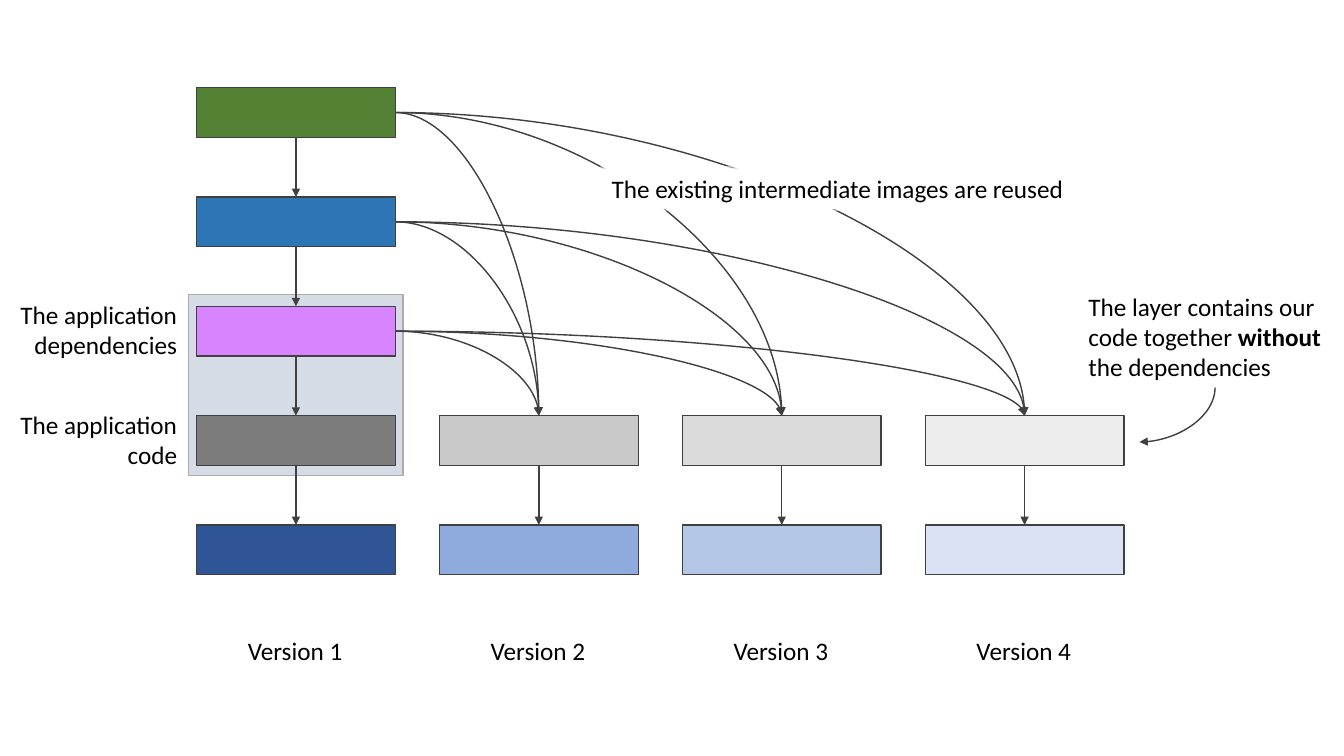
from pptx import Presentation
from pptx.dml.color import RGBColor
from pptx.enum.shapes import MSO_CONNECTOR, MSO_SHAPE
from pptx.enum.text import MSO_AUTO_SIZE, PP_ALIGN
from pptx.oxml.ns import qn
from pptx.util import Pt
from lxml.etree import SubElement

BOX_WIDTH, BOX_HEIGHT = 142, 35.5
LEFT, COLUMN_STEP = 140.4, 173.5
TOP, ROW_STEP = 62.6, 78.1
OUTLINE = "404040"
TOP_SIDE, BOTTOM_SIDE, RIGHT_SIDE = 0, 2, 3

presentation = Presentation()
presentation.slide_width, presentation.slide_height = Pt(960), Pt(540)
slide = presentation.slides.add_slide(presentation.slide_layouts[6])
shapes = slide.shapes


def color(value):
    return RGBColor.from_string(value)


def finish_arrow(connector, curved=False):
    """Outline a connector, add its arrowhead and drop its shadow."""
    connector.line.color.rgb = color(OUTLINE)
    connector.line.width = Pt(1)
    properties = connector.element.spPr
    SubElement(properties.find(qn("a:ln")), qn("a:tailEnd"), type="triangle")
    SubElement(properties, qn("a:effectLst"))
    if curved:
        properties.find(qn("a:prstGeom")).set("prst", "curvedConnector2")


# Panel around the application's two layers, then the boxes (column, row)
rectangles = [("panel", 134.6, 210.2, 153.4, 129.6, "D6DCE5", "AFABAB")]
columns = [
    ["548235", "2E75B6", "D883FF", "7C7C7C", "2F5597"],
    ["C9C9C9", "8FAADC"],
    ["DBDBDB", "B4C7E7"],
    ["EDEDED", "DAE3F3"],
]
for column, fills in enumerate(columns):
    for row, fill in enumerate(fills, start=5 - len(fills)):
        rectangles.append(((column, row), LEFT + column * COLUMN_STEP, TOP + row * ROW_STEP,
                           BOX_WIDTH, BOX_HEIGHT, fill, OUTLINE))

boxes = {}
for key, left, top, width, height, fill, outline in rectangles:
    shape = shapes.add_shape(MSO_SHAPE.RECTANGLE, Pt(left), Pt(top), Pt(width), Pt(height))
    shape.shadow.inherit = False
    shape.fill.solid()
    shape.fill.fore_color.rgb = color(fill)
    shape.line.color.rgb = color(outline)
    shape.line.width = Pt(1)
    boxes[key] = shape

# Each layer leads to the one below it
for column, fills in enumerate(columns):
    for row in range(5 - len(fills), 4):
        arrow = shapes.add_connector(MSO_CONNECTOR.STRAIGHT, 0, 0, 0, 0)
        arrow.begin_connect(boxes[column, row], BOTTOM_SIDE)
        arrow.end_connect(boxes[column, row + 1], TOP_SIDE)
        finish_arrow(arrow)

# The first three layers are reused by every later version
for row in range(3):
    for column in range(1, 4):
        arrow = shapes.add_connector(MSO_CONNECTOR.CURVE, 0, 0, 0, 0)
        arrow.begin_connect(boxes[0, row], RIGHT_SIDE)
        arrow.end_connect(boxes[column, 3], TOP_SIDE)
        finish_arrow(arrow, curved=True)

# Quarter turn: leaves the note downwards and ends leftwards
note_arrow = shapes.add_connector(MSO_CONNECTOR.CURVE, Pt(821.5), Pt(269.3), Pt(860.4), Pt(323.3))
finish_arrow(note_arrow, curved=True)
note_arrow.element.spPr.find(qn("a:xfrm")).set("rot", "5400000")


def add_text(left, top, width, height, runs, wrap=True, align=PP_ALIGN.LEFT):
    """Add a text box; runs is a list of (text, bold) pairs."""
    box = shapes.add_textbox(Pt(left), Pt(top), Pt(width), Pt(height))
    frame = box.text_frame
    frame.word_wrap = wrap
    frame.auto_size = MSO_AUTO_SIZE.SHAPE_TO_FIT_TEXT
    paragraph = frame.paragraphs[0]
    paragraph.alignment = align
    paragraph.font.name = "Calibri"
    paragraph.font.size = Pt(18)
    paragraph.font.color.rgb = color("000000")
    for text, bold in runs:
        run = paragraph.add_run()
        run.text = text
        if bold:
            run.font.bold = True
    return box


reuse_label = add_text(429.8, 120.2, 341.3, 29,
                       [("The existing intermediate images are reused", False)], wrap=False)
reuse_label.fill.solid()
reuse_label.fill.fore_color.rgb = color("FFFFFF")
reuse_label.line.color.rgb = color("FFFFFF")
reuse_label.line.width = Pt(3)
line_color = reuse_label.element.spPr.find(qn("a:ln")).find(".//" + qn("a:srgbClr"))
SubElement(line_color, qn("a:alpha"), val="50000")

for column in range(4):
    add_text(169.9 + column * COLUMN_STEP, 450, 82.8, 29,
             [(f"Version {column + 1}", False)], wrap=False)

add_text(770.4, 204.5, 195.1, 72.7,
         [("The layer contains our code together ", False), ("without", True),
          (" the dependencies", False)])

for top, text in [(210.2, "The application dependencies"), (288.7, "The application code")]:
    add_text(4, top, 129.6, 51, [(text, False)], align=PP_ALIGN.RIGHT)

presentation.save("out.pptx")
